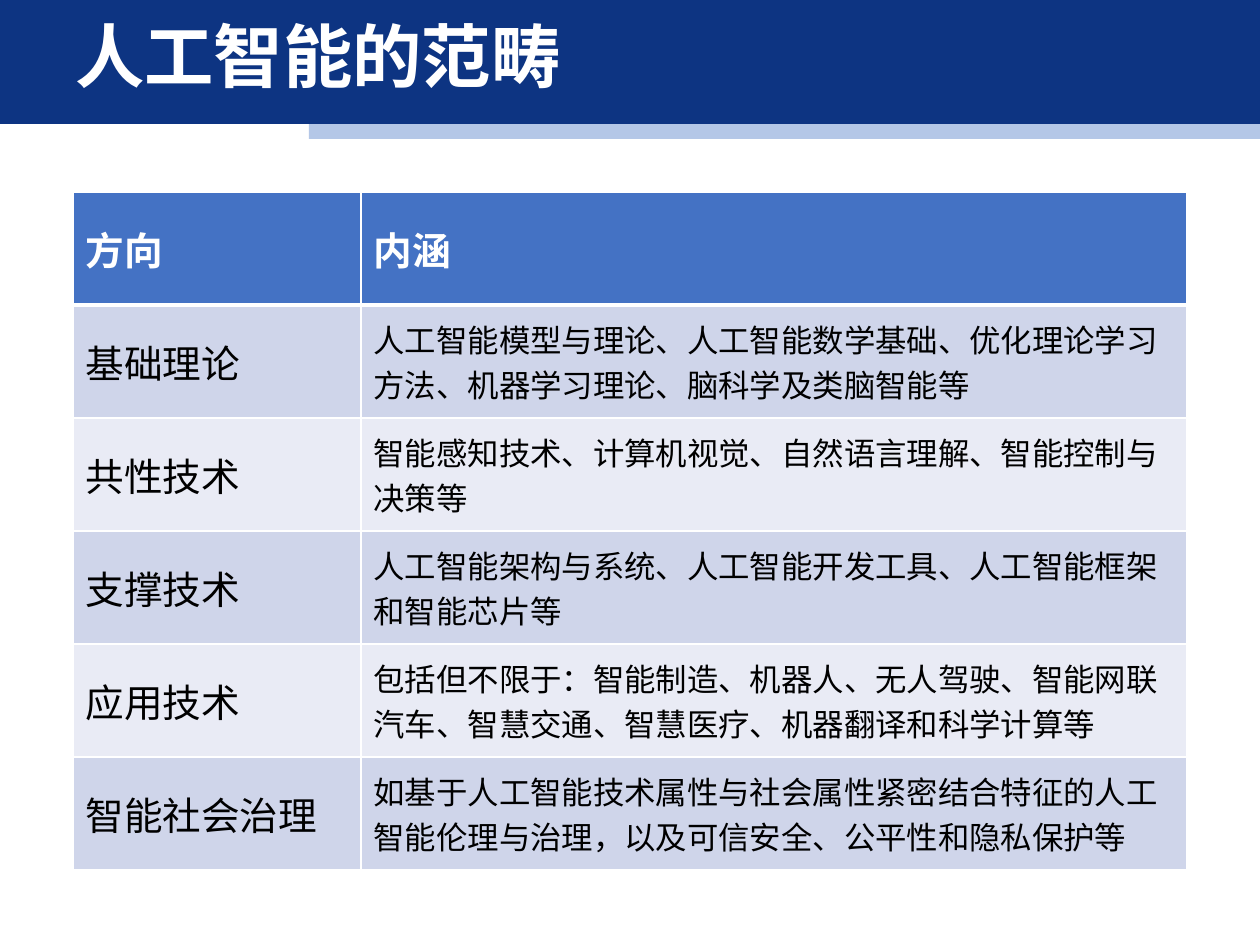
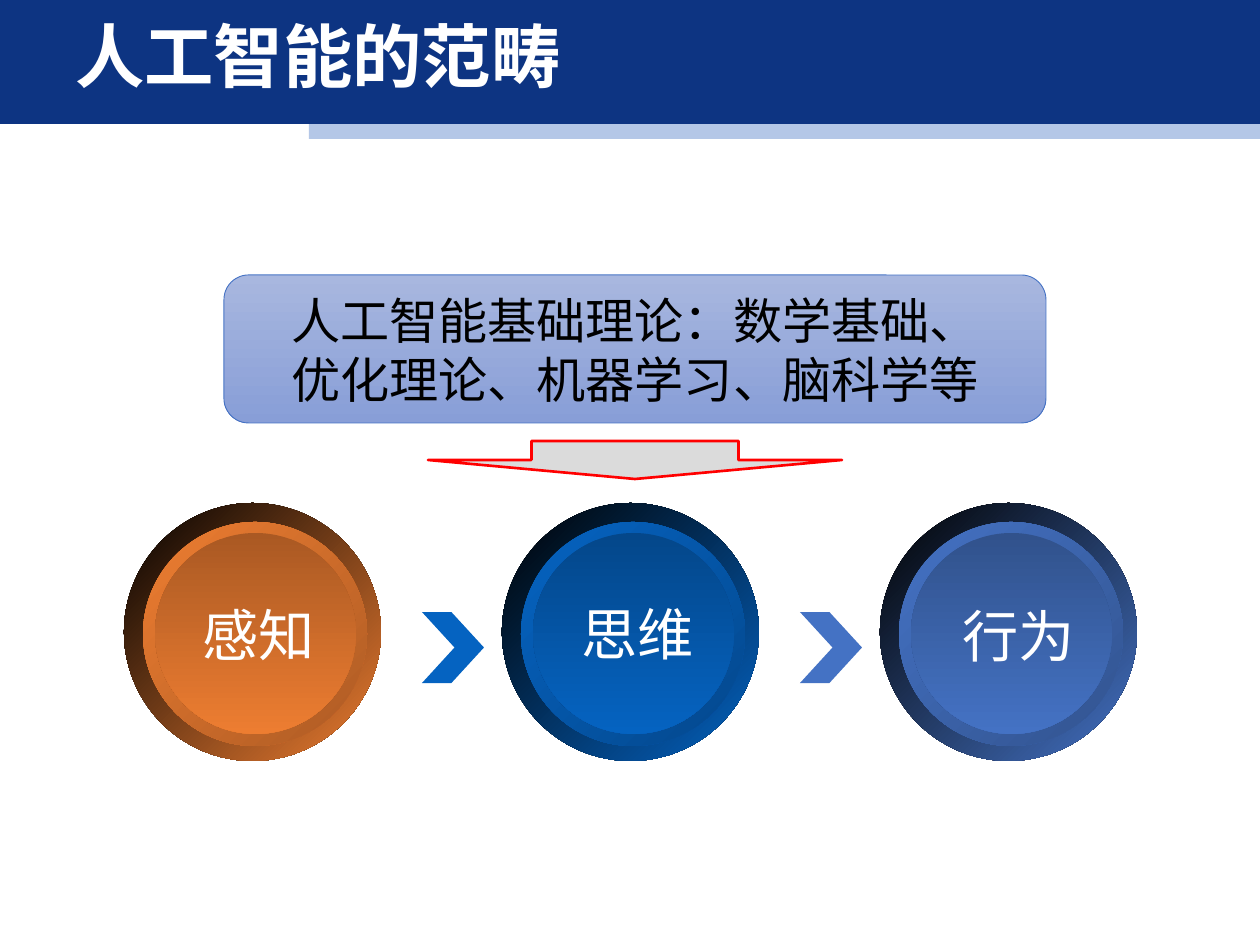
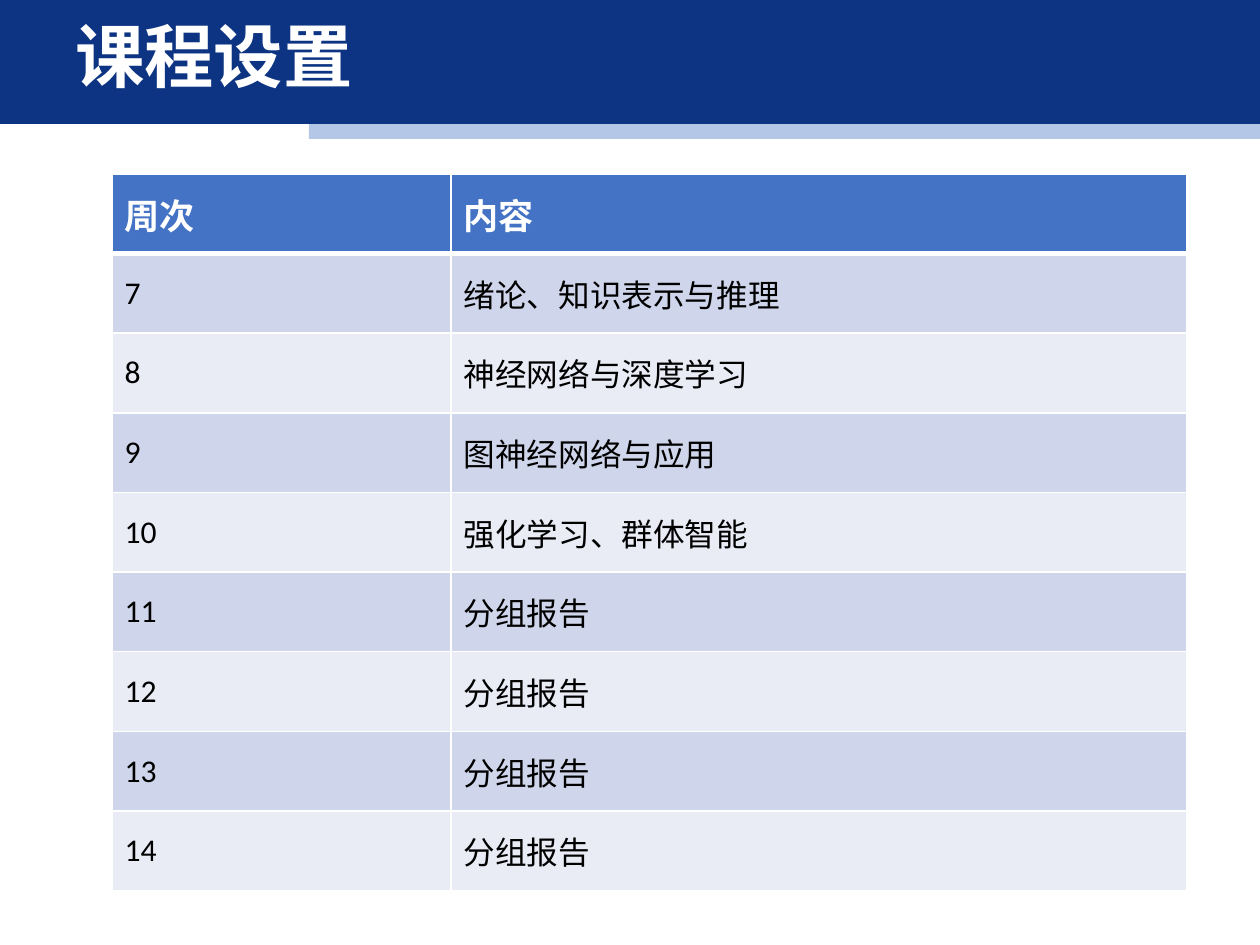
import dataclasses
import typing

import lxml.etree
import pptx
import pptx.dml.color
import pptx.dml.fill
import pptx.enum.shapes
import pptx.enum.text
import pptx.oxml.ns
import pptx.util

EMU_PER_PX = 7234
SHAPE = pptx.enum.shapes.MSO_SHAPE
ALIGN = pptx.enum.text.PP_ALIGN
MIDDLE = pptx.enum.text.MSO_ANCHOR.MIDDLE
qn = pptx.oxml.ns.qn


@dataclasses.dataclass(frozen=True)
class Theme:
    cjk: str = "Noto Sans CJK SC"
    latin: str = "Calibri"
    white: str = "FFFFFF"
    black: str = "000000"
    red: str = "FF0000"
    grey: str = "DBDBDB"
    navy: str = "0D3482"
    pale_blue: str = "B4C7E7"
    blue: str = "4472C4"
    bright_blue: str = "0563C1"
    orange: str = "ED7D31"
    bands: tuple[str, str] = ("CFD5EA", "E9EBF5")
    callout: tuple[str, str] = ("A8B7DF", "889ED7")
    title_size: float = 39.5
    button_size: float = 32
    callout_size: float = 28


THEME = Theme()


class Box(typing.NamedTuple):
    left: int
    top: int
    width: int
    height: int

    def emu(self) -> tuple[int, ...]:
        return tuple(px(v) for v in self)


@dataclasses.dataclass(frozen=True)
class TextStyle:
    size: float
    colour: str
    latin: str = THEME.latin
    east_asian: str = THEME.cjk
    bold: bool = False
    align: typing.Any = ALIGN.LEFT
    line_spacing: float | None = None


@dataclasses.dataclass(frozen=True)
class TableSpec:
    box: Box
    first_column: int
    header_size: float
    body_sizes: tuple[float, float]
    rows: list[tuple[str, str]]


@dataclasses.dataclass(frozen=True)
class Button:
    label: str
    colour: str
    ring_shade: str
    face_shade: str
    label_left: int
    label_top: int


TITLE = TextStyle(THEME.title_size, THEME.white, latin=THEME.cjk, bold=True, line_spacing=0.9)
BUTTON_LABEL = TextStyle(THEME.button_size, THEME.white, latin=THEME.cjk, align=ALIGN.RIGHT)
CALLOUT = TextStyle(THEME.callout_size, THEME.black, east_asian=THEME.latin, align=ALIGN.CENTER)

SCOPE_TABLE = TableSpec(Box(73, 192, 1114, 678), 288, 22, (22, 17.9), [
    ("方向", "内涵"),
    ("基础理论", "人工智能模型与理论、人工智能数学基础、优化理论学习方法、机器学习理论、脑科学及类脑智能等"),
    ("共性技术", "智能感知技术、计算机视觉、自然语言理解、智能控制与决策等"),
    ("支撑技术", "人工智能架构与系统、人工智能开发工具、人工智能框架和智能芯片等"),
    ("应用技术", "包括但不限于：智能制造、机器人、无人驾驶、智能网联汽车、智慧交通、智慧医疗、机器翻译和科学计算等"),
    ("智能社会治理", "如基于人工智能技术属性与社会属性紧密结合特征的人工智能伦理与治理，以及可信安全、公平性和隐私保护等"),
])

TOPICS = ["绪论、知识表示与推理", "神经网络与深度学习", "图神经网络与应用", "强化学习、群体智能"] + ["分组报告"] * 4
COURSE_TABLE = TableSpec(
    Box(112, 174, 1075, 717), 339, 20, (18, 18),
    [("周次", "内容")] + [(str(week), topic) for week, topic in enumerate(TOPICS, 7)])

BUTTONS = [
    Button("感知", THEME.orange, "AD5B24", "AA5923", -6, 91),
    Button("思维", THEME.bright_blue, "04488D", "04478A", -5, 90),
    Button("行为", THEME.blue, "32538F", "31528C", -2, 92),
]
BUTTON_LEFT, BUTTON_TOP, BUTTON_PITCH = 124, 503, 378


def px(value: int) -> int:
    return value * EMU_PER_PX


def rgb(colour: str) -> pptx.dml.color.RGBColor:
    return pptx.dml.color.RGBColor.from_string(colour)


def set_solid(fill: pptx.dml.fill.FillFormat, colour: str) -> None:
    fill.solid()
    fill.fore_color.rgb = rgb(colour)


def write(tf, text: str, style: TextStyle) -> None:
    tf.text = text
    for p in tf.paragraphs:
        p.alignment = style.align
        p.line_spacing = style.line_spacing
        for r in p.runs:
            r.font.size = pptx.util.Pt(style.size)
            r.font.bold = style.bold
            r.font.color.rgb = rgb(style.colour)
            r.font.name = style.latin
            ea = lxml.etree.SubElement(r.font._element, qn("a:ea"))
            ea.set("typeface", style.east_asian)


def add_text(slide, box: Box, text: str, style: TextStyle) -> None:
    tf = slide.shapes.add_textbox(*box.emu()).text_frame
    tf.word_wrap = True
    tf.vertical_anchor = MIDDLE
    write(tf, text, style)


def add_shape(slide, kind, box: Box, fill: str | tuple[str, str], angle: int = 90,
              line: tuple[str, float] | None = None):
    """Draw a preset shape; a pair of fill colours is a gradient at a clockwise angle."""
    sp = slide.shapes.add_shape(kind, *box.emu())
    sp.shadow.inherit = False
    if isinstance(fill, str):
        set_solid(sp.fill, fill)
    else:
        sp.fill.gradient()
        sp.fill.gradient_angle = 360 - angle
        for stop, colour in zip(sp.fill.gradient_stops, fill):
            stop.color.rgb = rgb(colour)
    if line:
        set_solid(sp.line.fill, line[0])
        sp.line.width = pptx.util.Pt(line[1])
    else:
        sp.line.fill.background()
    return sp


def add_slide(prs, title: str):
    """Add a blank slide with the shared bands and title."""
    slide = prs.slides.add_slide(prs.slide_layouts[6])
    add_shape(slide, SHAPE.RECTANGLE, Box(309, 124, 952, 15), THEME.pale_blue)
    add_shape(slide, SHAPE.RECTANGLE, Box(0, -5, 1260, 129), THEME.navy)
    add_text(slide, Box(63, 21, 1104, 78), title, TITLE)
    return slide


def set_borders(cell, top: int, bottom: int) -> None:
    """Give a cell white borders; top and bottom widths are in points."""
    tc_pr = cell._tc.get_or_add_tcPr()
    for side, width in (("L", 1), ("R", 1), ("T", top), ("B", bottom)):
        ln = lxml.etree.SubElement(tc_pr, qn(f"a:ln{side}"), w=str(pptx.util.Pt(width)))
        fill = lxml.etree.SubElement(ln, qn("a:solidFill"))
        lxml.etree.SubElement(fill, qn("a:srgbClr"), val=THEME.white)


def add_table(slide, spec: TableSpec) -> None:
    count = len(spec.rows)
    table = slide.shapes.add_table(count, 2, *spec.box.emu()).table
    table.horz_banding = False
    for column, width in zip(table.columns, (spec.first_column, spec.box.width - spec.first_column)):
        column.width = px(width)
    for i, texts in enumerate(spec.rows):
        table.rows[i].height = px(spec.box.height) // count
        for j, text in enumerate(texts):
            cell = table.cell(i, j)
            cell.vertical_anchor = MIDDLE
            set_borders(cell, top=3 if i == 1 else 1, bottom=3 if i == 0 else 1)
            if i == 0:
                set_solid(cell.fill, THEME.blue)
                style = TextStyle(spec.header_size, THEME.white, bold=True)
            else:
                set_solid(cell.fill, THEME.bands[(i - 1) % 2])
                style = TextStyle(spec.body_sizes[j], THEME.black)
            write(cell.text_frame, text, style)


def add_button(slide, left: int, button: Button) -> None:
    """Draw a round button as rim, ring and face, with its label on top."""
    top = BUTTON_TOP
    discs = (
        (Box(left, top, 257, 258), (THEME.black, button.colour), 45),
        (Box(left + 19, top + 19, 224, 224), (button.colour, button.ring_shade), 45),
        (Box(left + 31, top + 30, 201, 201), (button.face_shade, button.colour), 90),
    )
    for box, colours, angle in discs:
        add_shape(slide, SHAPE.OVAL, box, colours, angle)
    label_box = Box(left + button.label_left, top + button.label_top, 209, 81)
    add_text(slide, label_box, button.label, BUTTON_LABEL)


def add_process(slide) -> None:
    sp = add_shape(slide, SHAPE.ROUNDED_RECTANGLE, Box(224, 275, 822, 148),
                   THEME.callout, line=(THEME.blue, 0.5))
    sp.text_frame.word_wrap = True
    sp.text_frame.vertical_anchor = MIDDLE
    write(sp.text_frame, "人工智能基础理论：数学基础、\n优化理论、机器学习、脑科学等", CALLOUT)
    add_shape(slide, SHAPE.DOWN_ARROW, Box(428, 441, 414, 38), THEME.grey, line=(THEME.red, 1.5))
    for i, button in enumerate(BUTTONS):
        left = BUTTON_LEFT + i * BUTTON_PITCH
        add_button(slide, left, button)
        if i:
            chevron = add_shape(slide, SHAPE.CHEVRON, Box(left - 80, 612, 62, 71), button.colour)
            chevron.adjustments[0] = 0.525


def main() -> None:
    prs = pptx.Presentation()
    prs.slide_width, prs.slide_height = px(1260), px(945)
    add_table(add_slide(prs, "人工智能的范畴"), SCOPE_TABLE)
    add_process(add_slide(prs, "人工智能的范畴"))
    add_table(add_slide(prs, "课程设置"), COURSE_TABLE)
    prs.save("out.pptx")


if __name__ == "__main__":
    main()
